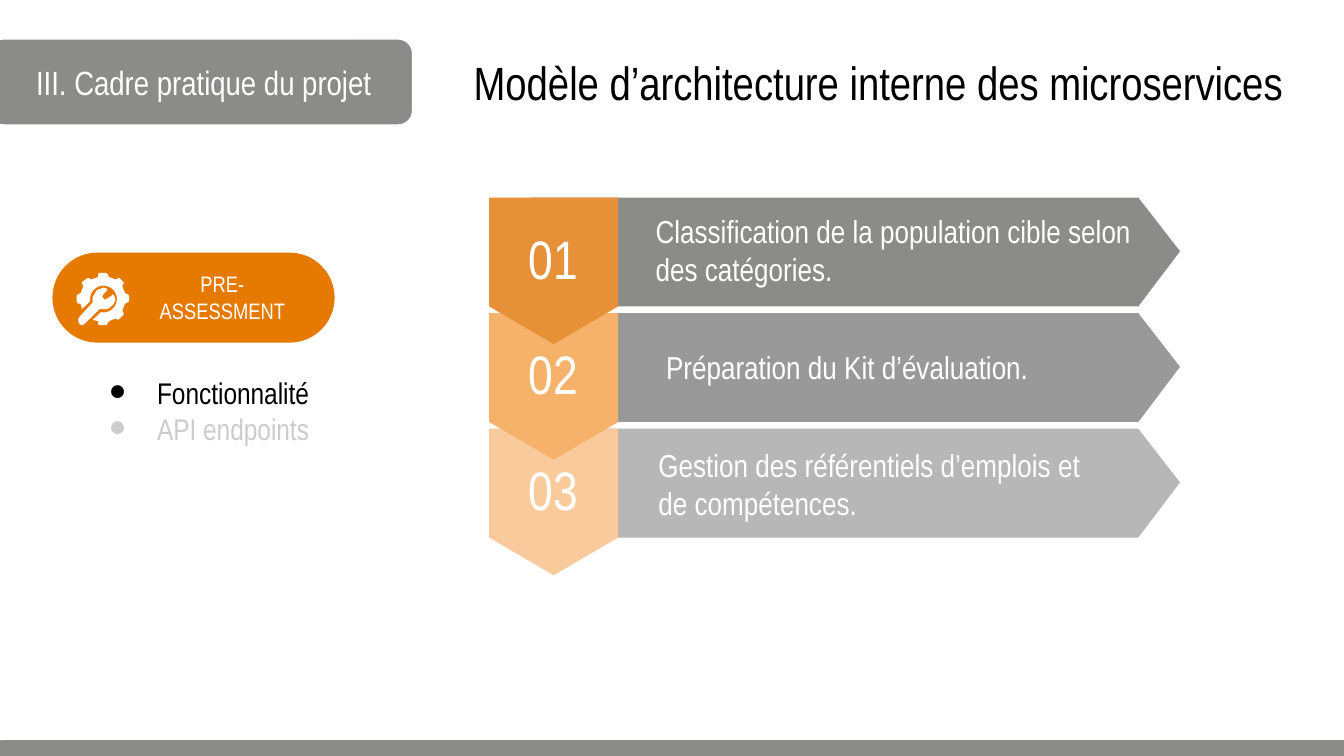
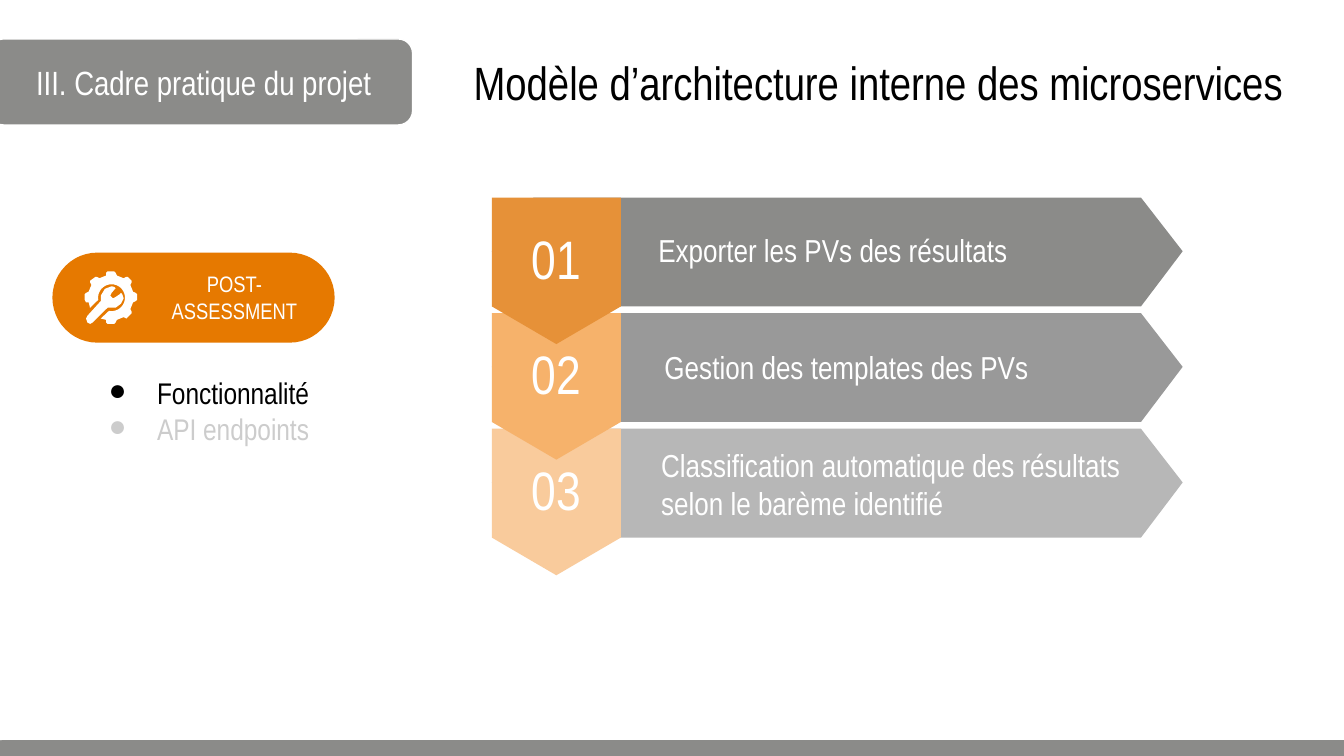
import math

import pptx
import pptx.dml.color
import pptx.enum.shapes
import pptx.enum.text
import pptx.oxml
import pptx.oxml.ns
import pptx.util

Inches = pptx.util.Inches
RGBColor = pptx.dml.color.RGBColor
ALIGN = pptx.enum.text.PP_ALIGN
ANCHOR = pptx.enum.text.MSO_ANCHOR

FONT = "Arial Narrow"
WHITE = RGBColor(0xFF, 0xFF, 0xFF)
BLACK = RGBColor(0x00, 0x00, 0x00)
MUTED = RGBColor(0xCC, 0xCC, 0xCC)
BAND = RGBColor(0x8B, 0x8B, 0x89)
ORANGE = RGBColor(0xE6, 0x79, 0x00)
# Chevron and arrow colour of each step
STEP_COLOURS = [
    (RGBColor(0xE6, 0x91, 0x38), BAND),
    (RGBColor(0xF6, 0xB2, 0x6B), RGBColor(0x99, 0x99, 0x99)),
    (RGBColor(0xF9, 0xCB, 0x9C), RGBColor(0xB7, 0xB7, 0xB7)),
]
STEP_PITCH = 0.86
# Text offset from the corner of each step, width and alignment
STEP_TEXTS = [(1.14, 0.24, 3.75, ALIGN.LEFT), (1.09, 0.25, 3.15, ALIGN.CENTER),
              (1.16, 0.26, 4.18, ALIGN.LEFT)]

ARROW = [(0.31, 0), (0, 0.4), (0.31, 0.81), (4.83, 0.81), (5.14, 0.4), (4.83, 0)]
CHEVRON = [(0, 0), (0, 0.81), (0.48, 1.09), (0.96, 0.81), (0.96, 0)]

# Icon outlines, in hundredths of an inch; the gear opens around the wrench
GEAR_HOLE = [(20 + 10 * math.cos(math.radians(a)), 19.5 + 10 * math.sin(math.radians(a)))
             for a in range(171, 462, 10)]
GEAR = [
    (17, 0), (16, 1), (16, 3), (11, 5), (9, 4), (8, 4), (4, 7), (4, 8), (5, 10), (3, 15),
    (1, 16), (0, 17), (0, 21), (1, 23), (3, 23), (4, 27), *GEAR_HOLE, (12, 35), (16, 36),
    (16, 38), (17, 39), (22, 39), (23, 38), (24, 36), (29, 34), (31, 35), (32, 34),
    (35, 31), (35, 30), (34, 28), (36, 23), (38, 22), (39, 21), (39, 17), (38, 16),
    (36, 15), (34, 10), (35, 8), (35, 7), (32, 4), (31, 4), (29, 5), (24, 3), (23, 1), (22, 0),
]
WRENCH = [
    (20, 11), (15, 13), (12, 18), (12, 22), (2, 33), (1, 35), (2, 38), (4, 39), (6, 38),
    (17, 27), (20, 27), (23, 27), (27, 24), (29, 20), (28, 17), (27, 16), (26, 17),
    (23, 19), (21, 20), (20, 19), (19, 18), (20, 16), (23, 12.5), (22, 11.5),
]

SLIDES = [
    dict(phase="PRE-ASSESSMENT", label_left=0.94, icon=(0.57, 2.03), stack_left=3.64,
         steps=["Classification de la population cible selon des catégories.",
                "Préparation du Kit d’évaluation.",
                "Gestion des référentiels d’emplois et\nde compétences."]),
    dict(phase="POST-ASSESSMENT", label_left=1.03, icon=(0.63, 2.02), stack_left=3.66,
         steps=["Exporter les PVs des résultats",
                "Gestion des templates des PVs ",
                "Classification automatique des résultats\nselon le barème identifié"]),
]


def write(sp, text, size, color=WHITE, align=ALIGN.LEFT, anchor=ANCHOR.MIDDLE, bottom=0.1):
    """Fill a shape with text, one paragraph per line."""
    tf = sp.text_frame
    tf.word_wrap = True
    tf.vertical_anchor = anchor
    tf.margin_left = tf.margin_right = tf.margin_top = Inches(0.1)
    tf.margin_bottom = Inches(bottom)
    for i, line in enumerate(text.split("\n")):
        p = tf.add_paragraph() if i else tf.paragraphs[0]
        p.alignment = align
        r = p.add_run()
        r.text = line
        r.font.name, r.font.size = FONT, pptx.util.Pt(size)
        r.font.color.rgb = color
    return tf


def add_text(s, box, text, size, **fmt):
    return write(s.shapes.add_textbox(*map(Inches, box)), text, size, **fmt)


def paint(sp, fill, line=None):
    sp.shadow.inherit = False
    sp.fill.solid()
    sp.fill.fore_color.rgb = fill
    if line is None:
        sp.line.fill.background()
    else:
        sp.line.color.rgb = line
        sp.line.width = pptx.util.Pt(0.75)
    return sp


def add_round_rect(s, box, fill, corner, line=None):
    kind = pptx.enum.shapes.MSO_SHAPE.ROUNDED_RECTANGLE
    sp = s.shapes.add_shape(kind, *map(Inches, box))
    sp.adjustments[0] = corner
    return paint(sp, fill, line)


def add_outline(s, left, top, points, fill, unit=1):
    pts = [(Inches(x * unit), Inches(y * unit)) for x, y in points]
    builder = s.shapes.build_freeform(*pts[0])
    builder.add_line_segments(pts[1:], close=True)
    return paint(builder.convert_to_shape(Inches(left), Inches(top)), fill)


def add_bullet(p, color):
    pPr = p._p.get_or_add_pPr()
    pPr.set("marL", str(Inches(0.5)))
    pPr.set("indent", str(Inches(-0.36)))
    ns = pptx.oxml.ns.nsdecls("a")
    for xml in (f'<a:buClr {ns}><a:srgbClr val="{color}"/></a:buClr>',
                f'<a:buFont {ns} typeface="{FONT}"/>',
                f'<a:buChar {ns} char="●"/>'):
        pPr.append(pptx.oxml.parse_xml(xml))


def add_frame(s):
    """Title, section band and footer band shared by the slides."""
    add_text(s, (3.07, 0.33, 6.93, 0.56), "Modèle d’architecture interne des microservices",
             25, color=BLACK, align=ALIGN.CENTER)
    add_round_rect(s, (-0.08, 0.29, 3.15, 0.64), BAND, 0.167, WHITE)
    add_text(s, (0.17, 0.47, 3.27, 0.28), "III. Cadre pratique du projet", 18)
    add_round_rect(s, (-0.08, 5.5, 10.53, 0.64), BAND, 0.167, WHITE)


def add_agenda(s, left, top):
    """Bulleted topics, the current one in black."""
    tf = add_text(s, (left, top, 3.02, 0.74), "Fonctionnalité\nAPI endpoints", 16,
                  anchor=ANCHOR.TOP)
    for p, color in zip(tf.paragraphs, (BLACK, MUTED)):
        add_bullet(p, color)
        p.runs[0].font.color.rgb = color


def add_phase(s, left, top, phase, label_left, icon):
    """Pill with the name of the phase and a gear icon."""
    add_round_rect(s, (left, top, 2.1, 0.67), ORANGE, 0.5)
    add_text(s, (label_left, top + 0.1, 1.43, 0.46), phase, 12, align=ALIGN.CENTER)
    for outline in (GEAR, WRENCH):
        add_outline(s, *icon, outline, WHITE, unit=0.01)


def add_steps(s, left, top, steps):
    """Stack of numbered arrows, built upwards so each chevron overlaps the next."""
    for i in reversed(range(len(steps))):
        y = top + i * STEP_PITCH
        chevron_color, arrow_color = STEP_COLOURS[i]
        dx, dy, width, align = STEP_TEXTS[i]
        add_outline(s, left, y, ARROW, arrow_color)
        chevron = add_outline(s, left, y, CHEVRON, chevron_color)
        write(chevron, f"{i + 1:02}", 29, align=ALIGN.CENTER, bottom=0.3)
        add_text(s, (left + dx, y + dy, width, 0.3), steps[i], 17, align=align)


def main():
    prs = pptx.Presentation()
    prs.slide_width = Inches(10)
    prs.slide_height = prs.slide_width * 9 // 16
    for content in SLIDES:
        s = prs.slides.add_slide(prs.slide_layouts[6])
        add_frame(s)
        add_agenda(s, 0.57, 2.69)
        add_phase(s, 0.39, 1.88, content["phase"], content["label_left"], content["icon"])
        add_steps(s, content["stack_left"], 1.47, content["steps"])
    prs.save("out.pptx")


if __name__ == "__main__":
    main()
